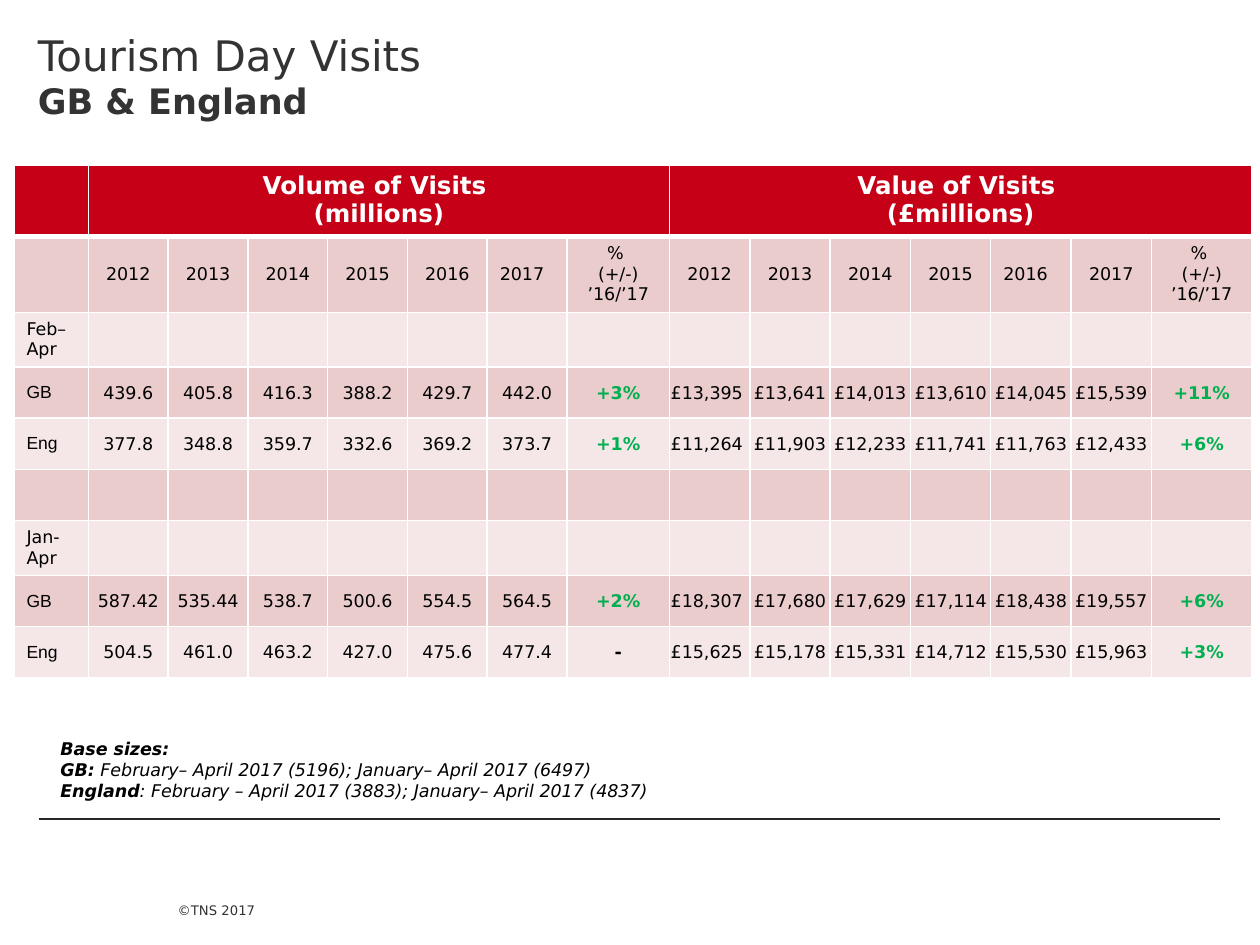
from lxml.etree import SubElement
from pptx import Presentation
from pptx.dml.color import RGBColor as RGB
from pptx.enum.shapes import MSO_CONNECTOR as CONNECTOR
from pptx.enum.text import MSO_ANCHOR as ANCHOR, PP_ALIGN as ALIGN
from pptx.oxml.ns import qn
from pptx.util import Pt

COLORS = {
    "header": "C50017", "dark_band": "EACCCC", "light_band": "F5E7E8",
    "white": "FFFFFF", "black": "000000", "heading": "333333",
    "rise": "00B050", "rule": "262626",
}
SANS, ARIAL = "DejaVu Sans", "Arial"

TITLE = "Tourism Day Visits \vGB & England"
COPYRIGHT = "©TNS 2017"
GROUPS = {1: "Volume of Visits \n(millions)", 8: "Value of Visits \n(£millions)"}
YEARS = ["2012", "2013", "2014", "2015", "2016", "2017", "% \n(+/-) ’16/’17"]
BLANK = [""] * 15
ROWS = [
    [""] + YEARS * 2,
    ["Feb– Apr"] + BLANK[1:],
    ["GB", "439.6", "405.8", "416.3", "388.2", "429.7", "442.0", "+3%",
     "£13,395", "£13,641", "£14,013", "£13,610", "£14,045", "£15,539", "+11%"],
    ["Eng", "377.8", "348.8", "359.7", "332.6", "369.2", "373.7", "+1%",
     "£11,264", "£11,903", "£12,233", "£11,741", "£11,763", "£12,433", "+6%"],
    BLANK,
    ["Jan-Apr"] + BLANK[1:],
    ["GB", "587.42", "535.44", "538.7", "500.6", "554.5", "564.5", "+2%",
     "£18,307", "£17,680", "£17,629", "£17,114", "£18,438", "£19,557", "+6%"],
    ["Eng", "504.5", "461.0", "463.2", "427.0", "475.6", "477.4", "-",
     "£15,625", "£15,178", "£15,331", "£14,712", "£15,530", "£15,963", "+3%"],
]
BASE_SIZES = [
    [("Base sizes: \vGB:", True),
     (" February– April 2017 (5196); January– April 2017 (6497)", False)],
    [("England", True),
     (": February – April 2017 (3883); January– April 2017 (4837)", False)],
]
COLUMN_WIDTHS = [42.5] + [45.6] * 6 + [58.6] + [45.9] * 6 + [57.5]
ROW_HEIGHT = 29.3
CHANGE_COLUMNS = (7, 14)
LEFT_ALIGNED = {(1, 6), (1, 12)} | {(row, 8) for row in (3, 4, 7, 8)}


def style(run, size, color, bold=False, italic=False, face=SANS):
    font = run.font
    font.size, font.bold, font.italic, font.name = Pt(size), bold, italic, face
    font.color.rgb = RGB.from_string(COLORS[color])


def set_margins(owner, left, top, right, bottom):
    owner.margin_left, owner.margin_top = Pt(left), Pt(top)
    owner.margin_right, owner.margin_bottom = Pt(right), Pt(bottom)


def add_text(slide, left, top, width, height, margins, wrap=True):
    frame = slide.shapes.add_textbox(Pt(left), Pt(top), Pt(width), Pt(height)).text_frame
    frame.word_wrap = wrap
    set_margins(frame, *margins)
    return frame


def paint(cell, color, bottom=1):
    properties = cell._tc.get_or_add_tcPr()
    for side, width in (("L", 1), ("R", 1), ("T", 1), ("B", bottom)):
        border = SubElement(properties, qn(f"a:ln{side}"), w=str(Pt(width)))
        fill = SubElement(border, qn("a:solidFill"))
        SubElement(fill, qn("a:srgbClr"), val=COLORS["white"])
    cell.fill.solid()
    cell.fill.fore_color.rgb = RGB.from_string(COLORS[color])


def write(cell, text, align, *look, **options):
    cell.text_frame.text = text
    for paragraph in cell.text_frame.paragraphs:
        paragraph.alignment = align
        for run in paragraph.runs:
            style(run, *look, **options)


def add_visits_table(slide):
    count = len(ROWS) + 1
    table = slide.shapes.add_table(
        count, len(COLUMN_WIDTHS), Pt(8), Pt(94.3),
        Pt(sum(COLUMN_WIDTHS)), Pt(ROW_HEIGHT * count)).table
    for column, width in zip(table.columns, COLUMN_WIDTHS):
        column.width = Pt(width)
    for row in table.rows:
        row.height = Pt(ROW_HEIGHT)

    for column in range(len(COLUMN_WIDTHS)):
        paint(table.cell(0, column), "header", bottom=3)
    for column, heading in GROUPS.items():
        table.cell(0, column).merge(table.cell(0, column + 6))
        write(table.cell(0, column), heading, ALIGN.CENTER, 14, "white", bold=True)

    for r, values in enumerate(ROWS, 1):
        for c, value in enumerate(values):
            cell = table.cell(r, c)
            paint(cell, "dark_band" if r % 2 else "light_band")
            if not value:
                continue
            cell.vertical_anchor = ANCHOR.MIDDLE
            if r > 1 and c > 0:
                set_margins(cell, 0.72, 0.72, 0.72, 0)
            left = c == 0 or (r, c) in LEFT_ALIGNED
            write(cell, value, ALIGN.LEFT if left else ALIGN.CENTER, 10,
                  "rise" if value.startswith("+") else "black",
                  bold=r > 1 and c in CHANGE_COLUMNS,
                  face=ARIAL if value in ("GB", "Eng") else SANS)


def main():
    deck = Presentation()
    deck.slide_width, deck.slide_height = Pt(720), Pt(540)
    slide = deck.slides.add_slide(deck.slide_layouts[6])

    credit = add_text(slide, 101.5, 498, 60, 42, (0, 0, 0, 21), wrap=False)
    credit.vertical_anchor = ANCHOR.BOTTOM
    credit.text = COPYRIGHT
    style(credit.paragraphs[0].runs[0], 7.5, "heading")

    rule = slide.shapes.add_connector(
        CONNECTOR.STRAIGHT, Pt(22.3), Pt(468), Pt(697), Pt(468))
    rule.line.color.rgb = RGB.from_string(COLORS["rule"])
    rule.line.width = Pt(0.75)
    SubElement(rule._element.spPr, qn("a:effectLst"))

    title = add_text(slide, 0, 0, 400, 101.5, (21.6, 16.6, 21.6, 0))
    title.text = TITLE
    topic, area = title.paragraphs[0].runs
    style(topic, 24, "heading")
    style(area, 20, "heading", bold=True)

    add_visits_table(slide)

    notes = add_text(slide, 27.4, 418.3, 607.7, 43.9, (7.2, 3.6, 7.2, 3.6))
    notes.text = "\n".join(parts[0][0] for parts in BASE_SIZES)
    for paragraph, parts in zip(notes.paragraphs, BASE_SIZES):
        for run in paragraph.runs:
            style(run, 10, "black", bold=True, italic=True)
        for text, bold in parts[1:]:
            run = paragraph.add_run()
            run.text = text
            style(run, 10, "black", bold=bold, italic=True)

    deck.save("out.pptx")


if __name__ == "__main__":
    main()
